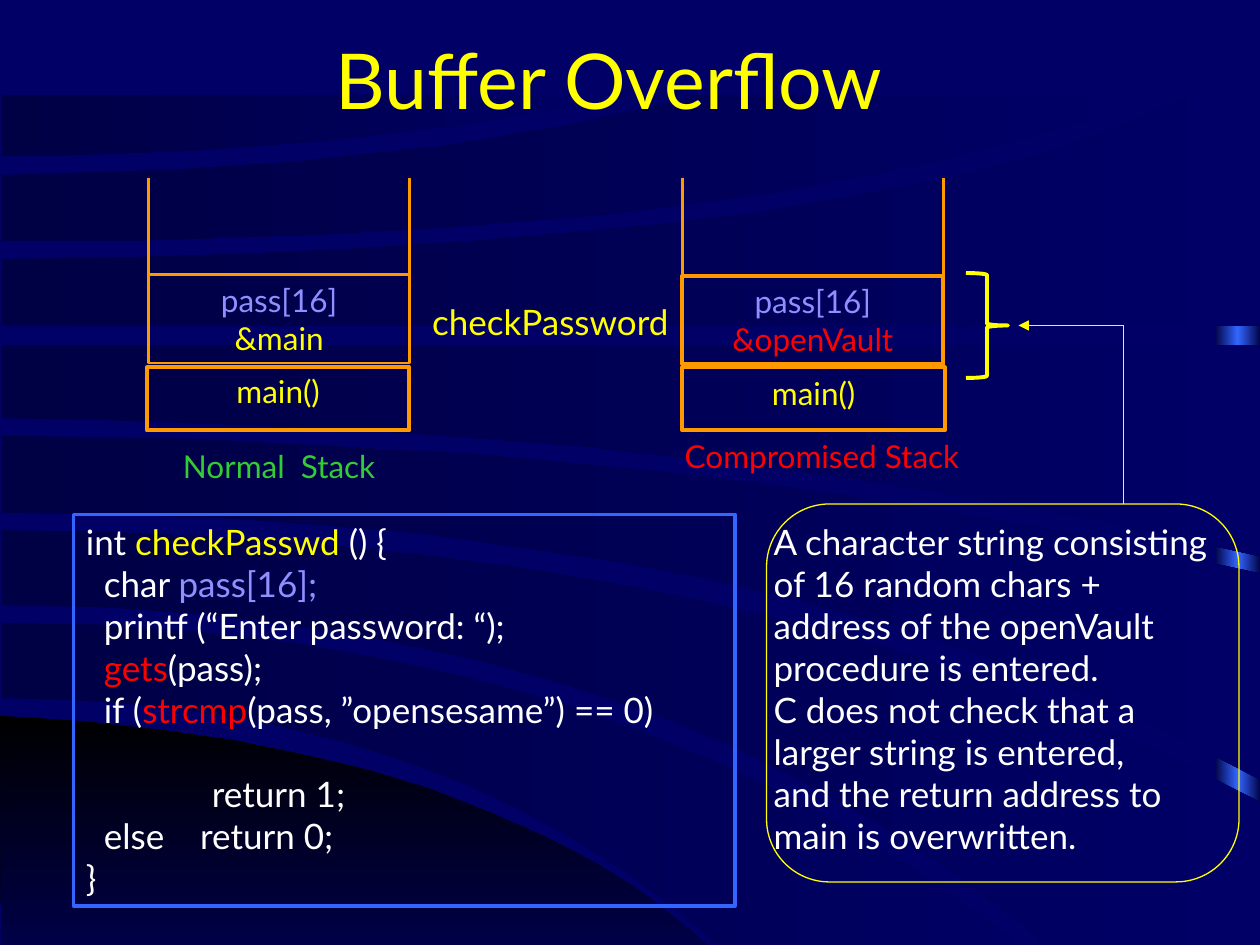
from copy import deepcopy
from dataclasses import dataclass

from lxml import etree
from pptx import Presentation, util as u
from pptx.dml.color import RGBColor as Rgb
from pptx.enum import shapes as es, text as et
from pptx.oxml.ns import qn

Runs = list[tuple[str, str]]
Spot = tuple[float, float]
Box = tuple[float, float, float, float]


@dataclass(frozen=True)
class Theme:
    font: str = "Lato"
    head: int = 44
    body: int = 20
    small: int = 18
    back: str = "000066"
    dark: str = "000044"
    black: str = "000000"
    blue: str = "3366FF"
    gold: str = "FFFF00"
    amber: str = "FF9900"
    lilac: str = "8F8FFF"
    red: str = "FF0000"
    green: str = "33CC33"
    white: str = "FFFFFF"


@dataclass(frozen=True)
class Arc:
    start: Spot
    bend: Spot
    end: Spot

    def trace(self, steps: int = 14) -> list[Spot]:
        """Points along the quadratic curve."""
        ends = list(zip(self.start, self.bend, self.end))
        return [tuple(a * (1 - t) ** 2 + 2 * b * t * (1 - t) + c * t * t
                      for a, b, c in ends)
                for t in (i / steps for i in range(steps + 1))]


@dataclass(frozen=True)
class Wave:
    upper: Arc
    lower: Arc
    corner: tuple[Spot, ...] = ()


@dataclass(frozen=True)
class Stack:
    left: float
    top: float
    edge: float
    frame: float
    main: float
    call: str
    tint: str


T = Theme()
TOP, LOW, END = 54, 594, 721


def flat(y: float, end: float = END) -> Arc:
    return Arc((1, y), (end / 2, y), (end, y))


HILL = Wave(Arc((0, 409), (332, 426), (453, LOW)), flat(LOW, 453))
WAVES = [
    Wave(Arc((1, 356), (400, 357), (644, LOW)),
         Arc((1, 399), (300, 400), (463, LOW))),
    Wave(Arc((1, 303), (440, 305), (END, 459)),
         Arc((1, 346), (420, 347), (655, LOW)), ((END, LOW),)),
    Wave(Arc((1, 249), (400, 252), (END, 328)),
         Arc((1, 293), (450, 293), (END, 446))),
    Wave(flat(197), Arc((1, 239), (410, 243), (END, 318))),
    Wave(Arc((1, 148), (520, 142), (680, TOP)), flat(186), ((END, TOP),)),
    Wave(Arc((1, 100), (240, 97), (401, TOP)),
         Arc((1, 138), (450, 138), (661, TOP))),
    Wave(flat(TOP, 361), Arc((1, 89), (200, 88), (361, TOP))),
]
STACKS = [
    Stack(85, 157, 1.5, 84, 209, "&main", T.gold),
    Stack(390, 157.5, 2.25, 390, 210, "&openVault", T.red),
]
CODE: list[Runs] = [
    [("int ", T.white), ("checkPasswd", T.gold), (" () {", T.white)],
    [("  char ", T.white), ("pass[16];", T.lilac)],
    [("  printf (“Enter password: “);", T.white)],
    [("  ", T.white), ("gets", T.red), ("(pass);", T.white)],
    [("  if (", T.white), ("strcmp", T.red),
     ("(pass, ”opensesame”) == 0)", T.white)],
    [("return 1;", T.white)],
    [("  else    return 0;", T.white)],
    [("}", T.white)],
]
NOTE = ["A character string consisting", "of 16 random chars +",
        "address of the openVault", "procedure is entered.",
        "C does not check that a", "larger string is entered,",
        "and the return address to", "main is overwritten."]


def shade(shape, hues: list[str], angle: float) -> None:
    """Fill with evenly spaced gradient stops and no outline."""
    shape.shadow.inherit = False
    shape.line.fill.background()
    fill = shape.fill
    fill.gradient()
    fill.gradient_angle = angle
    stops = shape.element.spPr.find(qn("a:gradFill")).find(qn("a:gsLst"))
    for _ in hues[2:]:
        stops.append(deepcopy(stops[-1]))
    for i, (stop, hue) in enumerate(zip(fill.gradient_stops, hues)):
        stop.position = i / (len(hues) - 1)
        stop.color.rgb = Rgb.from_string(hue)


def sweep(slide, wave: Wave, hues: list[str], angle: float) -> None:
    spots = [*wave.upper.trace(), *wave.corner, *wave.lower.trace()[::-1]]
    pen = slide.shapes.build_freeform(*spots[0], scale=u.Pt(1))
    pen.add_line_segments(spots[1:], close=True)
    shade(pen.convert_to_shape(), hues, angle)


def outline(slide, kind, box: Box, hue: str, width: float):
    shape = slide.shapes.add_shape(kind, *map(u.Pt, box))
    shape.shadow.inherit = False
    shape.fill.background()
    shape.line.color.rgb = Rgb.from_string(hue)
    shape.line.width = u.Pt(width)
    return shape


def write(shape, lines: list[Runs], size: int, align) -> None:
    frame = shape.text_frame
    frame.word_wrap = True
    frame.vertical_anchor = et.MSO_ANCHOR.TOP
    for i, runs in enumerate(lines):
        para = frame.add_paragraph() if i else frame.paragraphs[0]
        para.alignment = align
        para.font.name, para.font.size = T.font, u.Pt(size)
        para.font.color.rgb = Rgb.from_string(runs[0][1])
        for words, hue in runs:
            run = para.add_run()
            run.text = words
            if hue != runs[0][1]:
                run.font.color.rgb = Rgb.from_string(hue)


def label(slide, box: Box, lines: list[Runs], size: int,
          align=et.PP_ALIGN.CENTER) -> None:
    write(slide.shapes.add_textbox(*map(u.Pt, box)), lines, size, align)


def rule(slide, start: Spot, end: Spot, hue: str, width: float,
         arrow: bool = False) -> None:
    line = slide.shapes.add_connector(
        es.MSO_CONNECTOR.STRAIGHT, *map(u.Pt, start + end))
    line.line.color.rgb = Rgb.from_string(hue)
    line.line.width = u.Pt(width)
    props = line.element.spPr
    if arrow:
        etree.SubElement(props.find(qn("a:ln")), qn("a:tailEnd"),
                         type="triangle")
    etree.SubElement(props, qn("a:effectLst"))


def draw(slide, s: Stack) -> None:
    rect = es.MSO_SHAPE.RECTANGLE
    outline(slide, rect, (s.frame, 210, 150, 36), T.amber, 2.25)
    label(slide, (s.frame, s.main, 150, 29), [[("main()", T.gold)]], T.small)
    cell = outline(slide, rect, (s.left, s.top, 149, 50.5), T.amber, s.edge)
    write(cell, [[("pass[16]", T.lilac)], [(s.call, s.tint)]],
          T.small, et.PP_ALIGN.CENTER)
    for x in (s.left, s.left + 149):
        rule(slide, (x, 162), (x, 102), T.amber, 1.5)


def main() -> None:
    deck = Presentation()
    deck.slide_width, deck.slide_height = u.Pt(720), u.Pt(540)
    slide = deck.slides.add_slide(deck.slide_layouts[5])
    slide.background.fill.solid()
    slide.background.fill.fore_color.rgb = Rgb.from_string(T.back)
    kind = es.MSO_SHAPE

    strip = slide.shapes.add_shape(
        kind.RECTANGLE, *map(u.Pt, (694, 55.5, 26.5, 540)))
    shade(strip, [T.dark, T.blue, T.dark], 0)
    sweep(slide, HILL, [T.black, T.back], 270)
    for wave in WAVES:
        sweep(slide, wave, [T.dark, T.back], 0)

    title = slide.shapes.title
    title.element.getparent().append(title.element)
    title.left, title.top, title.width, title.height = map(
        u.Pt, (42, 0, 612, 90))
    write(title, [[("Buffer Overflow", T.gold)]], T.head, et.PP_ALIGN.CENTER)
    title.text_frame.vertical_anchor = et.MSO_ANCHOR.MIDDLE

    for stack in STACKS:
        draw(slide, stack)
    label(slide, (93.5, 252, 132, 29), [[("Normal  Stack", T.green)]], T.small)
    label(slide, (381.5, 246, 176.5, 72),
          [[("Compromised Stack", T.red)]], T.small)
    label(slide, (235, 168, 159, 31.5), [[("checkPassword", T.gold)]], T.body)

    code = outline(slide, kind.RECTANGLE, (42, 294, 378, 223.5), T.blue, 2.25)
    write(code, CODE, T.body, et.PP_ALIGN.LEFT)
    back = code.text_frame.paragraphs[5]
    back.space_before = u.Pt(24)
    back._p.get_or_add_pPr().set("marL", str(u.Pt(72)))

    label(slide, (435, 294, 282, 199.5), [[(row, T.white)] for row in NOTE],
          T.body, et.PP_ALIGN.LEFT)
    outline(slide, kind.ROUNDED_RECTANGLE, (438, 288, 270, 216), T.gold, 0.75)
    brace = outline(slide, kind.RIGHT_BRACE, (552, 156, 24, 60), T.gold, 2.25)
    brace.adjustments[0] = 0.05
    rule(slide, (642, 288), (642, 186), T.gold, 0.75)
    rule(slide, (642, 186), (582, 186), T.gold, 0.75, arrow=True)
    deck.save("out.pptx")


if __name__ == "__main__":
    main()
